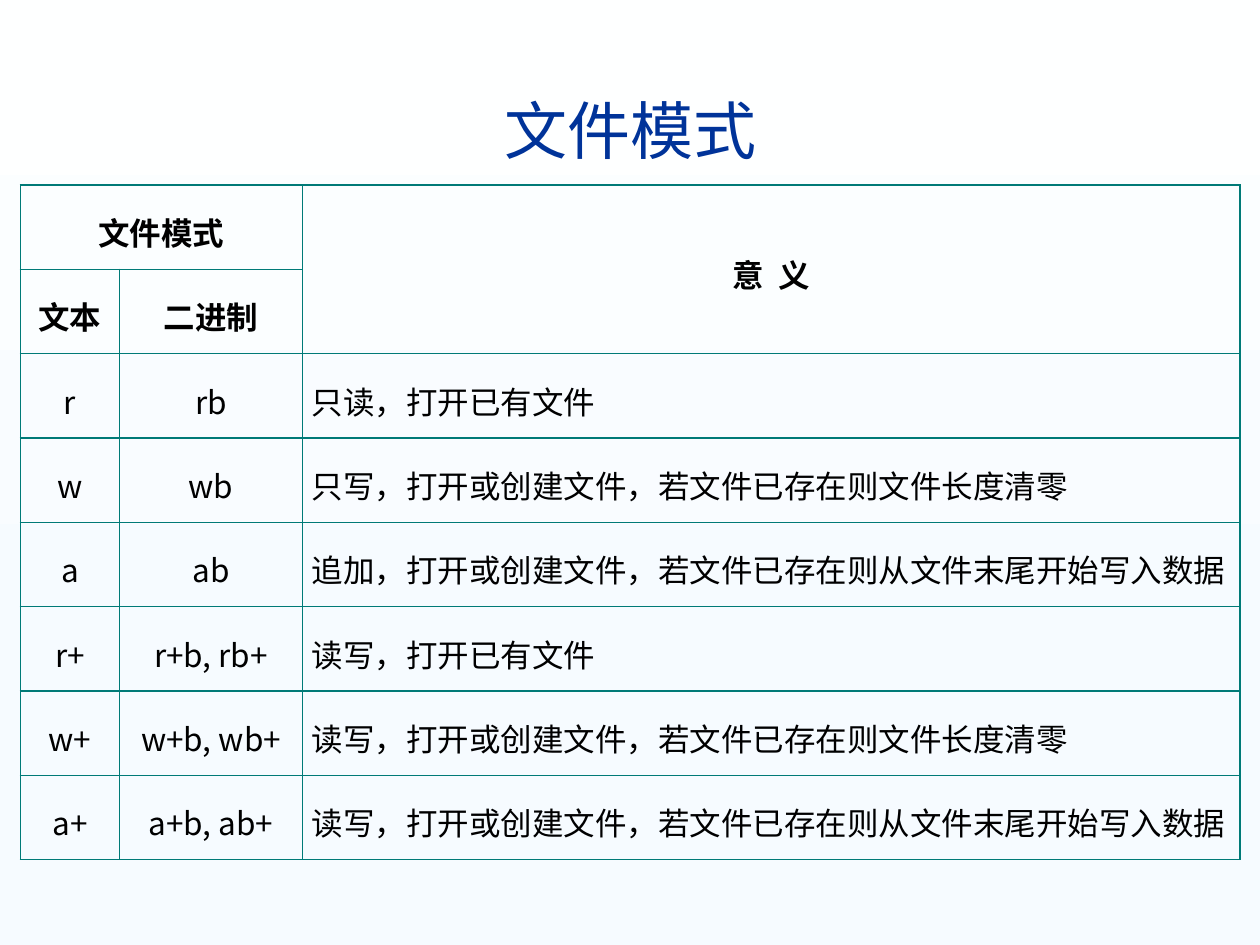
from lxml.etree import SubElement
from pptx import Presentation
from pptx.dml.color import RGBColor
from pptx.enum.text import MSO_ANCHOR, PP_ALIGN
from pptx.oxml.ns import qn
from pptx.util import Cm, Pt

FONT = "Noto Sans CJK SC"
TITLE_BLUE = RGBColor(0x00, 0x33, 0x99)
BLACK = RGBColor(0x00, 0x00, 0x00)
BORDER = RGBColor(0x00, 0x7A, 0x77)
BACKGROUND = [
    (0, RGBColor(0xFE, 0xFF, 0xFF)),
    (74, RGBColor(0xF6, 0xFB, 0xFF)),
    (83, RGBColor(0xF6, 0xFB, 0xFF)),
    (100, RGBColor(0xF9, 0xFD, 0xFF)),
]

TITLE = "文件模式"
HEADER_ROWS = 2
ROWS = [
    ("文件模式", "", "意  义"),
    ("文本", "二进制", ""),
    ("r", "rb", "只读，打开已有文件"),
    ("w", "wb", "只写，打开或创建文件，若文件已存在则文件长度清零"),
    ("a", "ab", "追加，打开或创建文件，若文件已存在则从文件末尾开始写入数据"),
    ("r+", "r+b, rb+", "读写，打开已有文件"),
    ("w+", "w+b, wb+", "读写，打开或创建文件，若文件已存在则文件长度清零"),
    ("a+", "a+b, ab+", "读写，打开或创建文件，若文件已存在则从文件末尾开始写入数据"),
]
MERGES = [((0, 0), (0, 1)), ((0, 2), (1, 2))]
COL_WIDTHS = [Cm(2), Cm(3.69), Cm(18.9)]
ROW_HEIGHT = Cm(1.7)


def set_font(p, size, color, bold=False):
    font = p.font
    font.name, font.size, font.bold = FONT, Pt(size), bold
    font.color.rgb = color
    SubElement(p._p.pPr.find(qn("a:defRPr")), qn("a:ea"), typeface=FONT)


def set_background(s):
    fill = s.background.fill
    fill.gradient()
    fill.gradient_angle = 270
    stops = next(s._element.iter(qn("a:gsLst")))
    for stop in list(stops):
        stops.remove(stop)
    for percent, color in BACKGROUND:
        stop = SubElement(stops, qn("a:gs"), pos=str(percent * 1000))
        SubElement(stop, qn("a:srgbClr"), val=str(color))


def set_borders(cell):
    tc_pr = cell._tc.get_or_add_tcPr()
    for side in ("lnL", "lnR", "lnT", "lnB"):
        ln = SubElement(tc_pr, qn(f"a:{side}"), w=str(Pt(1)))
        SubElement(SubElement(ln, qn("a:solidFill")), qn("a:srgbClr"), val=str(BORDER))


def fill_cell(cell, text, align, bold):
    set_borders(cell)
    cell.fill.background()
    cell.vertical_anchor = MSO_ANCHOR.MIDDLE
    cell.margin_left = cell.margin_right = Cm(0.18)
    cell.margin_top = cell.margin_bottom = 0
    cell.text = text
    p = cell.text_frame.paragraphs[0]
    p.alignment, p.line_spacing = align, 1.2
    set_font(p, 18, BLACK, bold)


def add_title(s):
    title = s.shapes.title
    title.left, title.top, title.width, title.height = Cm(0.84), Cm(1.7), Cm(23.72), Cm(1.83)
    tf = title.text_frame
    tf.text = TITLE
    tf.vertical_anchor = MSO_ANCHOR.MIDDLE
    p = tf.paragraphs[0]
    p.alignment = PP_ALIGN.CENTER
    set_font(p, 36, TITLE_BLUE)


def add_mode_table(s):
    table = s.shapes.add_table(
        len(ROWS), len(COL_WIDTHS), Cm(0.41), Cm(3.73),
        sum(COL_WIDTHS), ROW_HEIGHT * len(ROWS),
    ).table
    table.first_row = table.horz_banding = False
    for column, width in zip(table.columns, COL_WIDTHS):
        column.width = width
    for r, texts in enumerate(ROWS):
        table.rows[r].height = ROW_HEIGHT
        header = r < HEADER_ROWS
        for c, text in enumerate(texts):
            meaning = c == 2 and not header
            align = PP_ALIGN.JUSTIFY if meaning else PP_ALIGN.CENTER
            fill_cell(table.cell(r, c), text, align, header)
    for first, last in MERGES:
        table.cell(*first).merge(table.cell(*last))


def main():
    prs = Presentation()
    prs.slide_width, prs.slide_height = Cm(25.4), Cm(19.05)
    s = prs.slides.add_slide(prs.slide_layouts[5])
    set_background(s)
    add_title(s)
    add_mode_table(s)
    prs.save("out.pptx")


if __name__ == "__main__":
    main()
